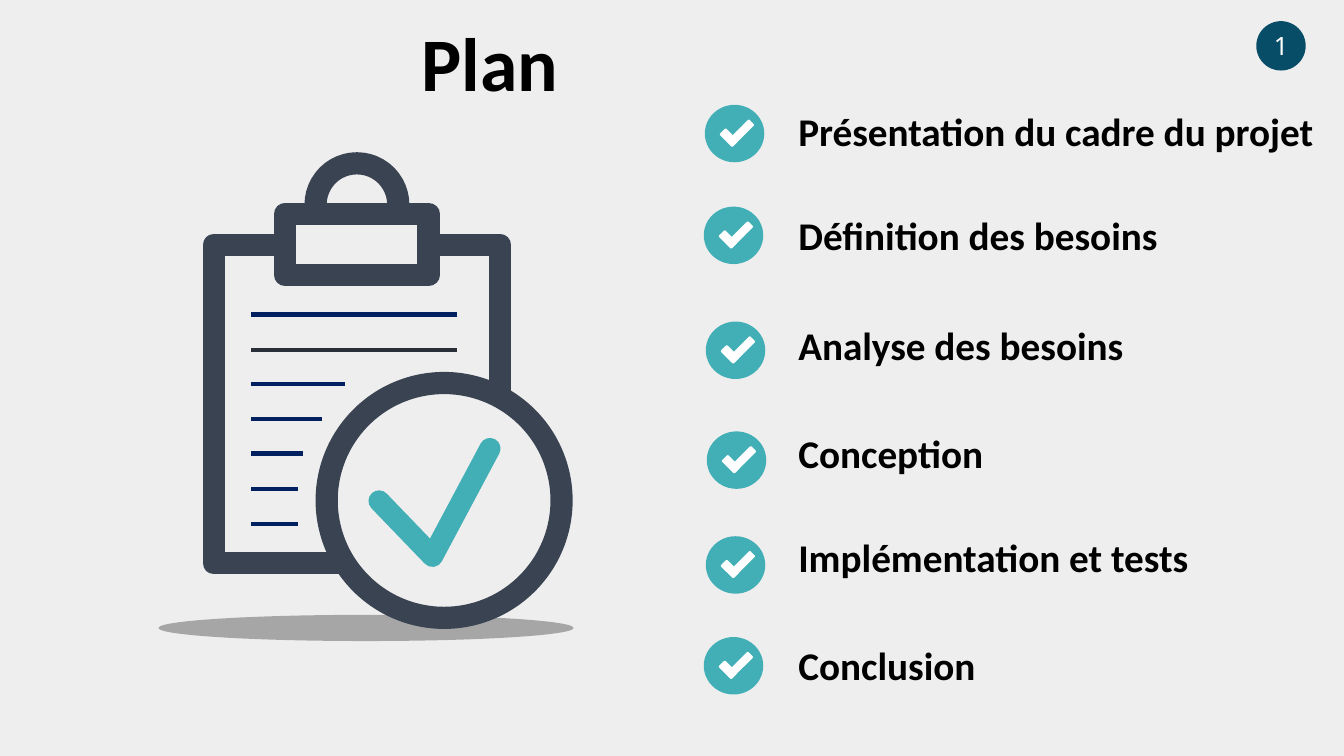
from dataclasses import dataclass
from lxml.etree import SubElement
from pptx import Presentation
from pptx.dml.color import RGBColor
from pptx.enum.shapes import MSO_CONNECTOR, MSO_SHAPE
from pptx.enum.text import MSO_ANCHOR, MSO_AUTO_SIZE, PP_ALIGN
from pptx.oxml.ns import qn
from pptx.util import Emu, Pt


@dataclass(frozen=True)
class Theme:
    back: str = "EEEEEE"
    black: str = "000000"
    white: str = "FFFFFF"
    teal: str = "42AFB6"
    slate: str = "394351"
    navy: str = "002060"
    coal: str = "282F39"
    ocean: str = "074D67"
    font: str = "Calibri"
    digit: str = "Noto Sans"
    title: int = 54
    item: int = 28
    small: int = 18


THEME = Theme()
SCALE = 9144
STROKE = 22


def px(n):
    return Emu(n * SCALE)


def box(*sides):
    return [px(n) for n in sides]


def color(code):
    return RGBColor.from_string(code)


def solid(shapes, kind, sides, code, turn=0):
    shape = shapes.add_shape(kind, *box(*sides))
    shape.shadow.inherit = False
    shape.fill.solid()
    shape.fill.fore_color.rgb = color(code)
    shape.line.fill.background()
    shape.rotation = turn
    return shape


def stroke(shape, code, width):
    shape.line.color.rgb = color(code)
    shape.line.width = px(width)
    line = shape._element.spPr.find(qn("a:ln"))
    line.set("cap", "rnd")
    SubElement(line, qn("a:round"))


def frame(shapes, kind, sides):
    stroke(solid(shapes, kind, sides, THEME.back), THEME.slate, STROKE)


def rule(shapes, left, right, top, code):
    line = shapes.add_connector(MSO_CONNECTOR.STRAIGHT, *box(left, top, right, top))
    line.line.color.rgb = color(code)
    line.line.width = Pt(3)
    SubElement(line._element.spPr, qn("a:effectLst"))


def write(frame, text, size, code, font, bold=False, align=PP_ALIGN.LEFT):
    para = frame.paragraphs[0]
    para.alignment = align
    run = para.add_run()
    run.text = text
    run.font.name = font
    run.font.size = Pt(size)
    run.font.bold = bold
    run.font.color.rgb = color(code)


def label(shapes, sides, text, size, align=PP_ALIGN.LEFT):
    frame = shapes.add_textbox(*box(*sides)).text_frame
    frame.word_wrap = True
    frame.auto_size = MSO_AUTO_SIZE.SHAPE_TO_FIT_TEXT
    write(frame, text, size, THEME.black, THEME.font, True, align)


def badge(shapes, left, top):
    group = shapes.add_group_shape().shapes
    solid(group, MSO_SHAPE.OVAL, (left, top, 59, 57), THEME.teal)
    bar = MSO_SHAPE.ROUNDED_RECTANGLE
    solid(group, bar, (left + 15, top + 28, 18, 9), THEME.white, 45)
    solid(group, bar, (left + 20, top + 24, 31, 8), THEME.white, 135)


def tick(shapes):
    path = shapes.build_freeform(376, 497, scale=SCALE)
    path.add_line_segments([(429, 552), (486, 445)], close=False)
    shape = path.convert_to_shape()
    shape.shadow.inherit = False
    shape.fill.background()
    stroke(shape, THEME.teal, 21)


def clipboard(shapes):
    shade = solid(shapes, MSO_SHAPE.OVAL, (157, 610, 412, 26), THEME.black)
    tint = shade._element.spPr.find(qn("a:solidFill"))[0]
    SubElement(tint, qn("a:alpha")).set("val", "30000")

    group = shapes.add_group_shape().shapes
    frame(group, MSO_SHAPE.RECTANGLE, (212, 243, 284, 316))
    frame(group, MSO_SHAPE.OVAL, (313, 162, 82, 82))
    frame(group, MSO_SHAPE.RECTANGLE, (283, 212, 142, 61))
    ends = [453, 453, 342, 319, 301, 296, 296]
    for i, end in enumerate(ends):
        code = THEME.coal if i == 1 else THEME.navy
        rule(group, 249, end, 312 + round(34.6 * i), code)
    frame(group, MSO_SHAPE.OVAL, (324, 380, 233, 233))
    tick(group)


def number(shapes, text):
    disc = solid(shapes, MSO_SHAPE.OVAL, (1246, 21, 49, 49), THEME.ocean)
    frame = disc.text_frame
    frame.word_wrap = False
    frame.vertical_anchor = MSO_ANCHOR.MIDDLE
    write(frame, text, THEME.small, THEME.white, THEME.digit, align=PP_ALIGN.CENTER)


def main():
    deck = Presentation()
    deck.slide_width, deck.slide_height = box(1333, 750)
    slide = deck.slides.add_slide(deck.slide_layouts[6])
    slide.background.fill.solid()
    slide.background.fill.fore_color.rgb = color(THEME.back)
    shapes = slide.shapes

    clipboard(shapes)
    label(shapes, (181, 11, 610, 101), "Plan", THEME.title, PP_ALIGN.CENTER)
    number(shapes, "1")
    items = [
        ("Présentation du cadre du projet", 102, 699, 104),
        ("Définition des besoins", 205, 698, 205),
        ("Analyse des besoins", 314, 700, 319),
        ("Conception", 421, 701, 428),
        ("Implémentation et tests", 524, 700, 532),
        ("Conclusion", 631, 698, 632),
    ]
    for text, top, left, high in items:
        badge(shapes, left, high)
        label(shapes, (782, top, 543, 57), text, THEME.item)
    deck.save("out.pptx")


if __name__ == "__main__":
    main()
